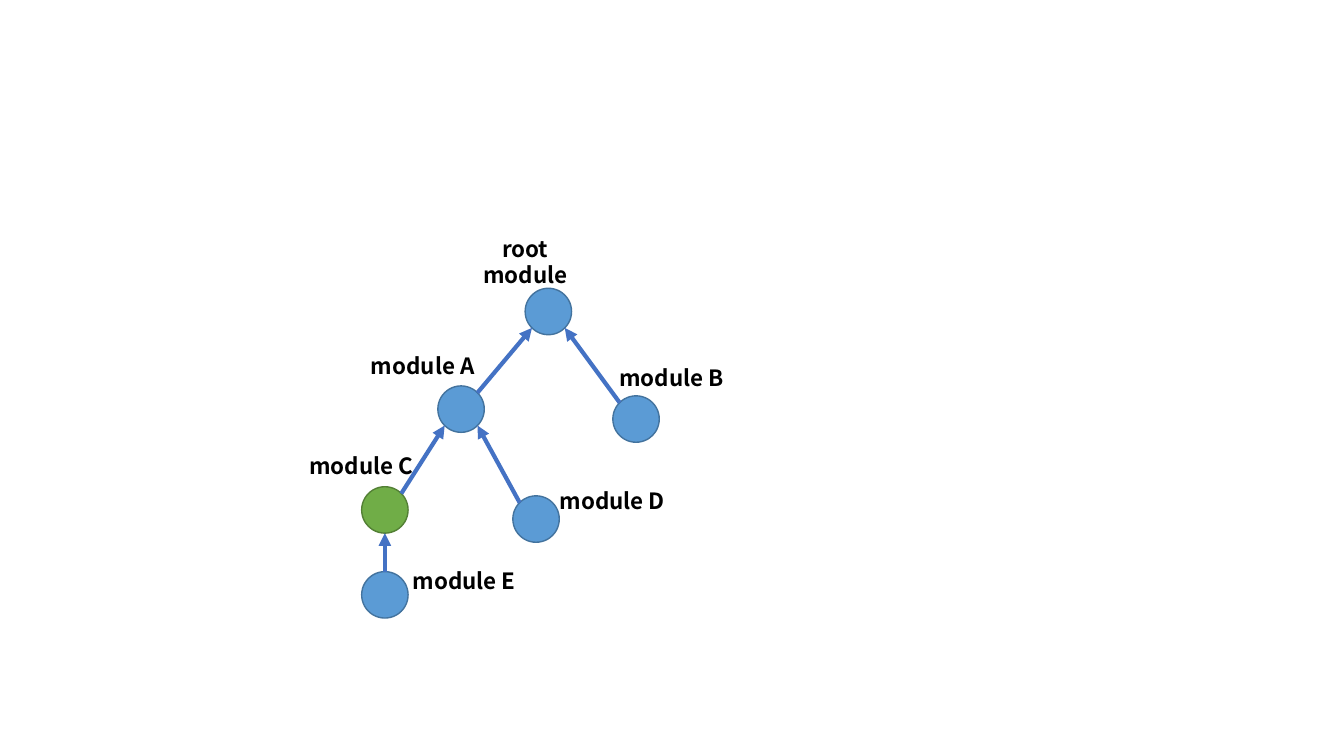
import math
from dataclasses import dataclass

import pptx
import pptx.dml.color
import pptx.enum.shapes
import pptx.enum.text
import pptx.oxml.ns
import pptx.util
from lxml import etree
from pptx.util import Cm

RGBColor = pptx.dml.color.RGBColor
BLUE = RGBColor(0x5B, 0x9B, 0xD5)
BLUE_EDGE = RGBColor(0x43, 0x73, 0x9E)
GREEN = RGBColor(0x70, 0xAD, 0x47)
GREEN_EDGE = RGBColor(0x53, 0x80, 0x35)
ARROW = RGBColor(0x44, 0x72, 0xC4)
BLACK = RGBColor(0, 0, 0)

FONT = "Noto Sans CJK SC"
RADIUS = 0.585
DIAGONAL = RADIUS * math.sqrt(0.5)


@dataclass
class Module:
    """A node; centre and label corner are in cm from the tree's corner."""
    lines: list
    centre: tuple
    label: tuple
    label_size: tuple = (3.43, 0.94)
    parent: str = ""
    fill: RGBColor = BLUE
    edge: RGBColor = BLUE_EDGE


MODULES = {
    "root": Module(["root", "module"], (6.43, 2.06), (4.4, 0), (2.9, 1.63)),
    "A": Module(["module A"], (4.23, 4.52), (1.55, 2.95), parent="root"),
    "B": Module(["module B"], (8.64, 4.77), (7.82, 3.25), parent="root"),
    "C": Module(["module C"], (2.31, 7.06), (0, 5.49), parent="A",
                fill=GREEN, edge=GREEN_EDGE),
    "D": Module(["module D"], (6.12, 7.29), (6.33, 6.35), parent="A"),
    "E": Module(["module E"], (2.31, 9.2), (2.59, 8.38), parent="C"),
}


def add_node(slide, left, top, module):
    x, y = module.centre
    node = slide.shapes.add_shape(
        pptx.enum.shapes.MSO_SHAPE.OVAL,
        left + Cm(x - RADIUS), top + Cm(y - RADIUS),
        Cm(2 * RADIUS), Cm(2 * RADIUS))
    node.shadow.inherit = False
    node.fill.solid()
    node.fill.fore_color.rgb = module.fill
    node.line.color.rgb = module.edge
    node.line.width = pptx.util.Pt(1)


def add_arrow(slide, left, top, child, parent):
    """Point from the child's rim to the parent's, diagonally or straight up."""
    (x1, y1), (x2, y2) = child.centre, parent.centre
    side = (x2 > x1) - (x2 < x1)
    dx = side * DIAGONAL
    dy = DIAGONAL if side else RADIUS
    arrow = slide.shapes.add_connector(
        pptx.enum.shapes.MSO_CONNECTOR.STRAIGHT,
        left + Cm(x1 + dx), top + Cm(y1 - dy),
        left + Cm(x2 - dx), top + Cm(y2 + dy))
    arrow.line.color.rgb = ARROW
    arrow.line.width = pptx.util.Pt(3)
    qn = pptx.oxml.ns.qn
    etree.SubElement(arrow.line._get_or_add_ln(), qn("a:tailEnd"), type="triangle")
    etree.SubElement(arrow._element.spPr, qn("a:effectLst"))


def add_label(slide, left, top, module):
    x, y = module.label
    width, height = module.label_size
    label = slide.shapes.add_textbox(
        left + Cm(x), top + Cm(y), Cm(width), Cm(height))
    frame = label.text_frame
    frame.word_wrap = True
    frame.auto_size = pptx.enum.text.MSO_AUTO_SIZE.SHAPE_TO_FIT_TEXT
    frame.text = "\n".join(module.lines)
    for paragraph in frame.paragraphs:
        paragraph.alignment = pptx.enum.text.PP_ALIGN.CENTER
        paragraph.font.name = FONT
        paragraph.font.size = pptx.util.Pt(16)
        paragraph.font.bold = True
        paragraph.font.color.rgb = BLACK


def add_module_tree(slide, left, top):
    for module in MODULES.values():
        add_node(slide, left, top, module)
    for module in MODULES.values():
        if module.parent:
            add_arrow(slide, left, top, module, MODULES[module.parent])
    for module in MODULES.values():
        add_label(slide, left, top, module)


def main():
    presentation = pptx.Presentation()
    presentation.slide_width = Cm(33.87)
    presentation.slide_height = Cm(19.05)
    slide = presentation.slides.add_slide(presentation.slide_layouts[6])
    add_module_tree(slide, Cm(7.39), Cm(5.79))
    presentation.save("out.pptx")


if __name__ == "__main__":
    main()
